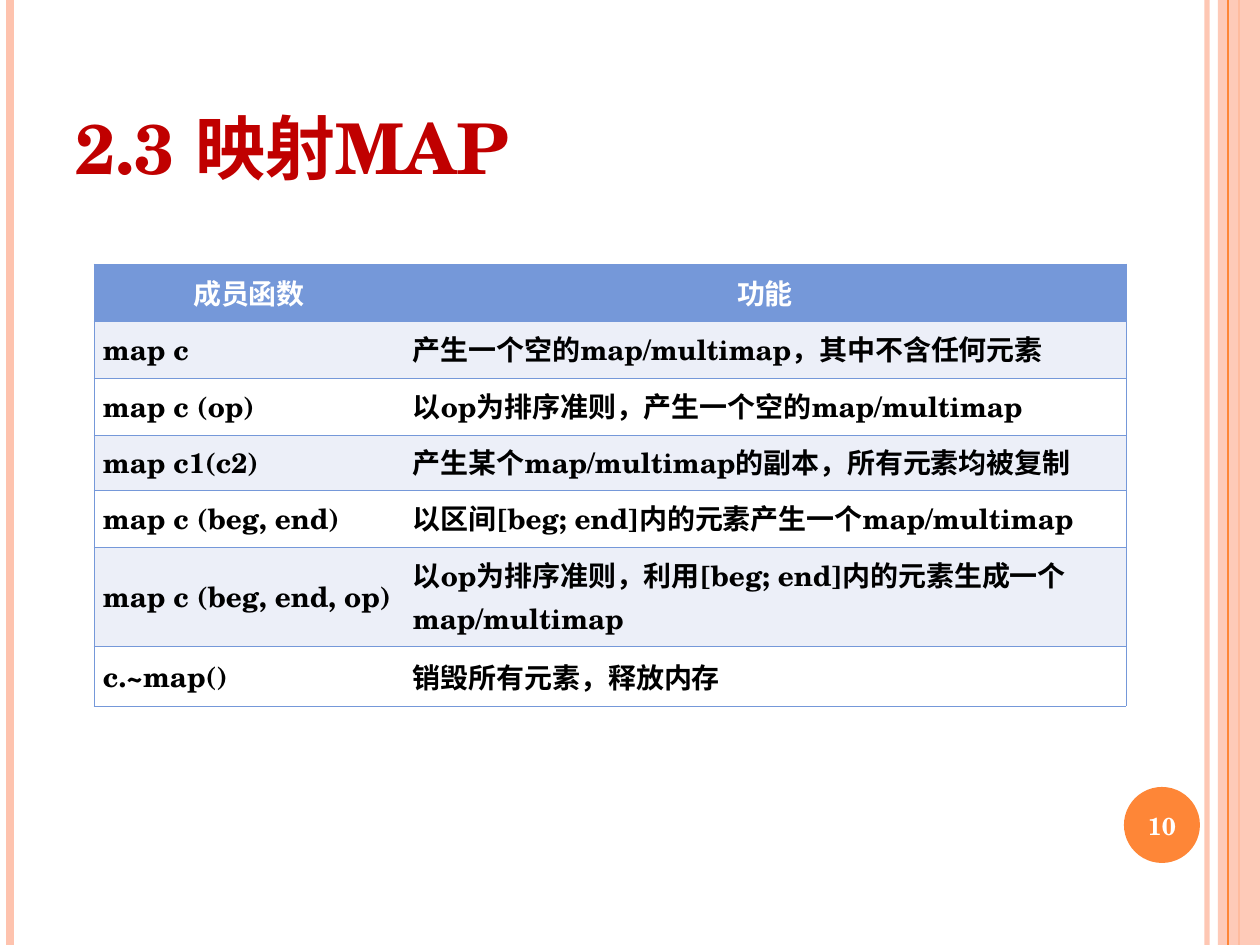
from dataclasses import dataclass

from lxml.etree import SubElement
from pptx import Presentation
from pptx.dml.color import RGBColor
from pptx.enum.shapes import MSO_CONNECTOR, MSO_SHAPE
from pptx.enum.text import MSO_ANCHOR, PP_ALIGN
from pptx.oxml.ns import qn
from pptx.util import Emu, Pt

SLIDE_WIDTH, SLIDE_HEIGHT = 1260, 945


@dataclass(frozen=True)
class Theme:
    font: str = "TeX Gyre Schola"
    peach: str = "FEC3AE"
    orange: str = "FE8637"
    title: str = "C00000"
    blue: str = "7598D9"
    band: str = "ECEFF8"
    white: str = "FFFFFF"
    black: str = "000000"
    title_size: int = 40
    table_size: int = 16
    number_size: int = 14
    border_width: float = 0.45


THEME = Theme()

# Vertical rules: x, colour, width in points, opacity in percent
OUTER_RULES = [(1207, THEME.peach, 3, 93), (10, THEME.peach, 4.5, 100),
               (1239, THEME.orange, 1.5, 100)]
BAND_RULE = (1228, THEME.orange, 0.75, 100)

COLUMN_WIDTHS = [310, 722]
ROW_HEIGHTS = [57, 57, 57, 55, 57, 99, 60]
MEMBER_FUNCTIONS = [
    ("成员函数", "功能"),
    ("map c", "产生一个空的map/multimap，其中不含任何元素"),
    ("map c (op)", "以op为排序准则，产生一个空的map/multimap"),
    ("map c1(c2)", "产生某个map/multimap的副本，所有元素均被复制"),
    ("map c (beg, end)", "以区间[beg; end]内的元素产生一个map/multimap"),
    ("map c (beg, end, op)", "以op为排序准则，利用[beg; end]内的元素生成一个map/multimap"),
    ("c.~map()", "销毁所有元素，释放内存"),
]
LEFT_ALIGNED = {(3, 1), (5, 1)}


def px(value):
    return Emu(round(value * 914400 / 126))


def set_opacity(fill_owner, percent):
    if percent < 100:
        color = next(fill_owner.iter(qn("a:srgbClr")))
        SubElement(color, qn("a:alpha"), val=str(percent * 1000))


def add_rule(slide, x, color, width, opacity):
    line = slide.shapes.add_connector(
        MSO_CONNECTOR.STRAIGHT, px(x), 0, px(x), px(SLIDE_HEIGHT))
    line.line.color.rgb = RGBColor.from_string(color)
    line.line.width = Pt(width)
    properties = line._element.spPr
    set_opacity(properties, opacity)
    SubElement(properties, qn("a:effectLst"))


def add_filled_shape(slide, kind, box, color, opacity=100):
    shape = slide.shapes.add_shape(kind, *map(px, box))
    shape.shadow.inherit = False
    shape.fill.solid()
    shape.fill.fore_color.rgb = RGBColor.from_string(color)
    shape.line.fill.background()
    set_opacity(shape._element.spPr, opacity)


def write_text(text_frame, text, size, color, alignment):
    paragraph = text_frame.paragraphs[0]
    paragraph.alignment = alignment
    run = paragraph.add_run()
    run.text = text
    run.font.name = THEME.font
    run.font.size = Pt(size)
    run.font.bold = True
    run.font.color.rgb = RGBColor.from_string(color)


def add_text(slide, box, text, size, color, alignment, anchor):
    text_frame = slide.shapes.add_textbox(*map(px, box)).text_frame
    text_frame.word_wrap = True
    text_frame.vertical_anchor = anchor
    write_text(text_frame, text, size, color, alignment)


def set_borders(cell, visible):
    # Border elements go ahead of the cell fill
    properties = cell._tc.get_or_add_tcPr()
    for index, side in enumerate(("lnL", "lnR", "lnT", "lnB")):
        border = SubElement(properties, qn(f"a:{side}"),
                            w=str(Pt(THEME.border_width)))
        properties.insert(index, border)
        if side in visible:
            fill = SubElement(border, qn("a:solidFill"))
            SubElement(fill, qn("a:srgbClr"), val=THEME.blue)
        else:
            SubElement(border, qn("a:noFill"))


def fill_cell(cell, text, row, column):
    if row == 0:
        background, color, alignment = THEME.blue, THEME.white, PP_ALIGN.CENTER
    else:
        background = THEME.band if row % 2 else THEME.white
        color = THEME.black
        alignment = (PP_ALIGN.LEFT if (row, column) in LEFT_ALIGNED
                     else PP_ALIGN.JUSTIFY)
    cell.fill.solid()
    cell.fill.fore_color.rgb = RGBColor.from_string(background)
    cell.vertical_anchor = MSO_ANCHOR.MIDDLE
    cell.margin_left = cell.margin_right = px(9)
    cell.margin_top = cell.margin_bottom = px(6)
    write_text(cell.text_frame, text, THEME.table_size, color, alignment)
    set_borders(cell, {"lnT", "lnB", "lnR" if column else "lnL"})


def add_function_table(slide, left, top):
    table = slide.shapes.add_table(
        len(ROW_HEIGHTS), len(COLUMN_WIDTHS), px(left), px(top),
        px(sum(COLUMN_WIDTHS)), px(sum(ROW_HEIGHTS))).table
    for column, width in zip(table.columns, COLUMN_WIDTHS):
        column.width = px(width)
    for row, height in zip(table.rows, ROW_HEIGHTS):
        row.height = px(height)
    for row, texts in enumerate(MEMBER_FUNCTIONS):
        for column, text in enumerate(texts):
            fill_cell(table.cell(row, column), text, row, column)


def main():
    presentation = Presentation()
    presentation.slide_width = px(SLIDE_WIDTH)
    presentation.slide_height = px(SLIDE_HEIGHT)
    slide = presentation.slides.add_slide(presentation.slide_layouts[6])

    # Side decoration
    for rule in OUTER_RULES:
        add_rule(slide, *rule)
    add_filled_shape(slide, MSO_SHAPE.RECTANGLE,
                     (1218, 0, 42, SLIDE_HEIGHT), THEME.peach, 87)
    add_rule(slide, *BAND_RULE)
    add_filled_shape(slide, MSO_SHAPE.OVAL, (1124, 787, 76, 76), THEME.orange)

    # Title and table
    add_text(slide, (63, 38, 1029, 157), "2.3 映射MAP", THEME.title_size,
             THEME.title, PP_ALIGN.LEFT, MSO_ANCHOR.BOTTOM)
    add_function_table(slide, 94, 264)

    # Page number
    add_text(slide, (1120, 790, 84, 72), "10", THEME.number_size,
             THEME.white, PP_ALIGN.CENTER, MSO_ANCHOR.MIDDLE)

    presentation.save("out.pptx")


if __name__ == "__main__":
    main()
